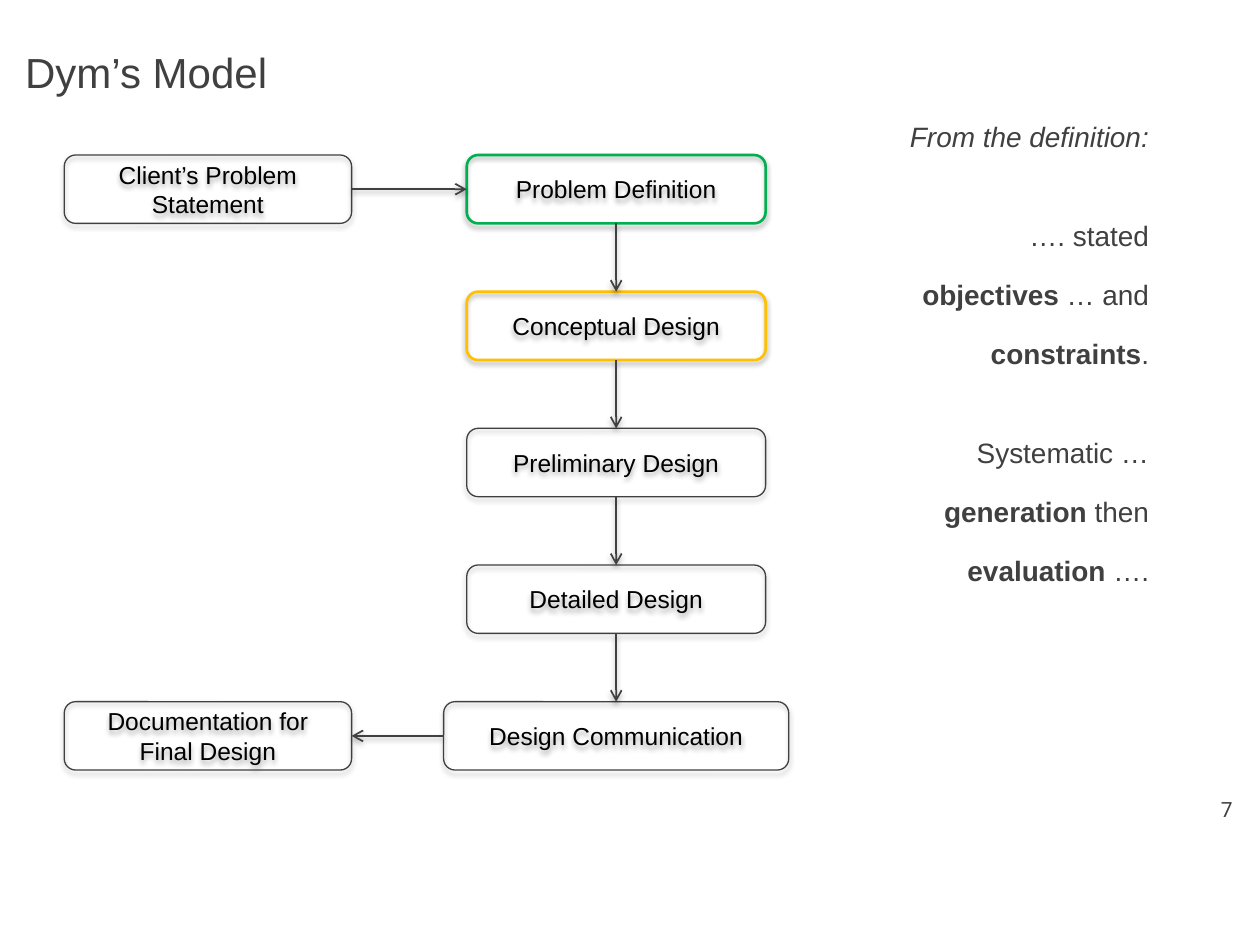
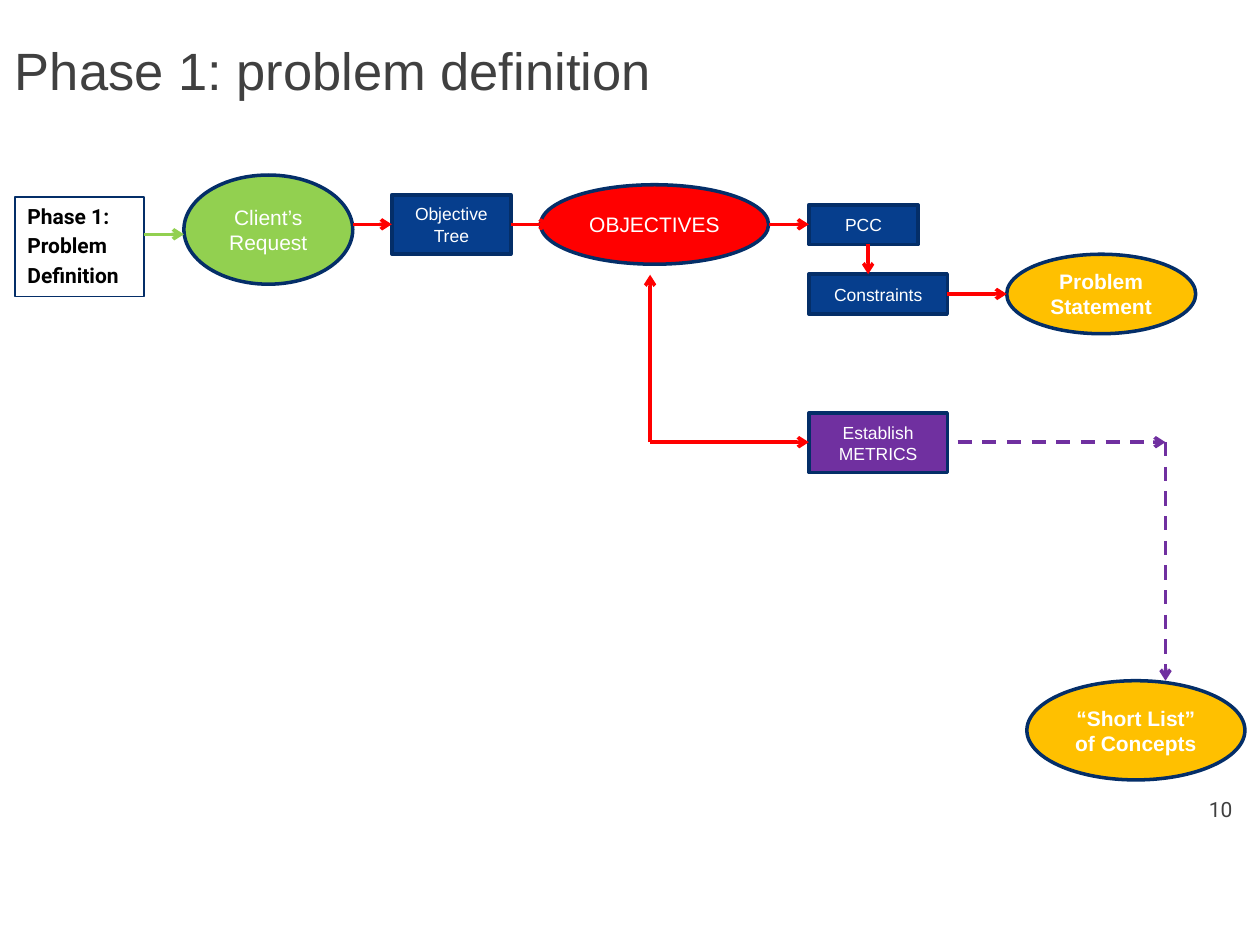
from dataclasses import dataclass
from typing import Any, NamedTuple, Optional

from lxml.etree import SubElement
from pptx import Presentation
from pptx.dml.color import RGBColor
from pptx.enum.dml import MSO_LINE
from pptx.enum.shapes import MSO_CONNECTOR, MSO_SHAPE
from pptx.enum.text import MSO_ANCHOR, PP_ALIGN
from pptx.oxml.ns import qn
from pptx.util import Pt

COLOURS = {
    "text": "404040", "black": "000000", "white": "FFFFFF", "navy": "042E68",
    "blue": "063E8D", "red": "FF0000", "green": "00B050", "lime": "92D050",
    "amber": "FFC000", "purple": "7030A0",
}
TITLE_SPACING = 1.14


class Run(NamedTuple):
    text: str
    bold: bool = False
    italic: bool = False


class Line(NamedTuple):
    runs: list[Run]
    space_before: float = 0


@dataclass
class TextStyle:
    size: float
    colour: str = "text"
    font: str = "Arial"
    align: Any = PP_ALIGN.LEFT
    spacing: Optional[float] = None


@dataclass
class Node:
    lines: list[str]
    left: float
    top: float
    width: float
    height: float
    fill: Optional[str] = None
    outline: str = "navy"
    kind: Any = MSO_SHAPE.RECTANGLE
    weight: float = 2
    size: float = 10
    bold: bool = False
    text_colour: str = "white"
    shadow: bool = False


class Arrow(NamedTuple):
    start: tuple[float, float]
    end: tuple[float, float]
    colour: str = "red"
    weight: float = 2
    dashed: bool = False
    shadow: bool = False


# Shared helpers
def colour(name: str) -> RGBColor:
    return RGBColor.from_string(COLOURS[name])


def apply_format(target: Any, values: dict[str, Any]) -> None:
    for name, value in values.items():
        setattr(target, name, value)


def set_effects(properties: Any, shadow: bool) -> None:
    """Replace the theme effects with a soft drop shadow or with nothing."""
    effects = properties.find(qn("a:effectLst"))
    if effects is None:
        effects = SubElement(properties, qn("a:effectLst"))
    if shadow:
        outer = SubElement(effects, qn("a:outerShdw"), blurRad=str(Pt(3.1)),
                           dist=str(Pt(1.8)), dir="5400000", rotWithShape="0")
        black = SubElement(outer, qn("a:srgbClr"), val=COLOURS["black"])
        SubElement(black, qn("a:alpha"), val="35000")


def write_lines(frame: Any, lines: list[Line], style: TextStyle) -> None:
    for index, line in enumerate(lines):
        paragraph = frame.paragraphs[0] if index == 0 else frame.add_paragraph()
        apply_format(paragraph, {"alignment": style.align,
                                 "line_spacing": style.spacing})
        if index:
            paragraph.space_before = Pt(line.space_before)
        for part in line.runs:
            run = paragraph.add_run()
            run.text = part.text
            apply_format(run.font, {"name": style.font, "size": Pt(style.size),
                                    "bold": part.bold, "italic": part.italic})
            run.font.color.rgb = colour(style.colour)


def add_text(slide: Any, box: tuple[float, float, float, float],
             lines: list[Line], style: TextStyle,
             insets: tuple[float, float] = (7.2, 3.6)) -> None:
    frame = slide.shapes.add_textbox(*map(Pt, box)).text_frame
    side, end = map(Pt, insets)
    apply_format(frame, {"word_wrap": True, "margin_left": side, "margin_right": side,
                         "margin_top": end, "margin_bottom": end})
    write_lines(frame, lines, style)


def add_node(slide: Any, node: Node) -> Any:
    shape = slide.shapes.add_shape(
        node.kind, *map(Pt, (node.left, node.top, node.width, node.height)))
    if node.fill:
        shape.fill.solid()
        shape.fill.fore_color.rgb = colour(node.fill)
    else:
        shape.fill.background()
    shape.line.color.rgb = colour(node.outline)
    shape.line.width = Pt(node.weight)
    shape.shadow.inherit = False
    set_effects(shape._element.spPr, node.shadow)
    apply_format(shape.text_frame, {"word_wrap": True,
                                    "vertical_anchor": MSO_ANCHOR.MIDDLE})
    write_lines(shape.text_frame, [Line([Run(text, node.bold)]) for text in node.lines],
                TextStyle(node.size, node.text_colour, align=PP_ALIGN.CENTER))
    return shape


def add_arrow(slide: Any, arrow: Arrow) -> Any:
    connector = slide.shapes.add_connector(
        MSO_CONNECTOR.STRAIGHT, *map(Pt, arrow.start + arrow.end))
    connector.line.color.rgb = colour(arrow.colour)
    connector.line.width = Pt(arrow.weight)
    if arrow.dashed:
        connector.line.dash_style = MSO_LINE.DASH
    properties = connector._element.spPr
    SubElement(properties.find(qn("a:ln")), qn("a:tailEnd"), type="arrow")
    set_effects(properties, arrow.shadow)
    return connector


def add_slide(presentation: Any, title: str, title_size: float,
              title_at: tuple[float, float], number: int) -> Any:
    """Add a blank slide with its title and page number."""
    slide = presentation.slides.add_slide(presentation.slide_layouts[6])
    add_text(slide, (*title_at, 640, 40), [Line([Run(title)])],
             TextStyle(title_size, spacing=TITLE_SPACING), (0, 7.2))
    add_text(slide, (677.5, 451.4, 33.9, 21.6), [Line([Run(str(number))])],
             TextStyle(12, font="Roboto", align=PP_ALIGN.RIGHT))
    return slide


# Slide: design stages in a column, with input and output at the left
def build_model_slide(presentation: Any) -> None:
    slide = add_slide(presentation, "Dym’s Model", 24, (14.4, 15.1), 7)
    top, pitch, centre = 88.6, 78.1, 352.1

    def add_stage(text: str, row: int, middle: float, width: float,
                  outline: str = "text", weight: float = 0.75) -> Any:
        return add_node(slide, Node(
            [text], middle - width / 2, top + row * pitch, width, pitch / 2,
            outline=outline, weight=weight, size=14, text_colour="black",
            kind=MSO_SHAPE.FLOWCHART_ALTERNATE_PROCESS, shadow=True))

    stages = [
        add_stage("Problem Definition", 0, centre, 170.8, "green", 1.5),
        add_stage("Conceptual Design", 1, centre, 170.8, "amber", 1.5),
        add_stage("Preliminary Design", 2, centre, 170.8),
        add_stage("Detailed Design", 3, centre, 170.8),
        add_stage("Design Communication", 4, centre, 197.2),
    ]
    client = add_stage("Client’s Problem Statement", 0, 118.8, 164.2)
    documentation = add_stage("Documentation for Final Design", 4, 118.8, 164.2)

    # Arrows glued to the sides of the boxes
    top_side, left_side, bottom_side, right_side = range(4)
    links = [(client, right_side, stages[0], left_side)]
    links += [(upper, bottom_side, lower, top_side)
              for upper, lower in zip(stages, stages[1:])]
    links.append((stages[-1], left_side, documentation, right_side))
    for source, source_side, target, target_side in links:
        connector = add_arrow(slide, Arrow((0, 0), (0, 0), "text", 1, shadow=True))
        connector.begin_connect(source, source_side)
        connector.end_connect(target, target_side)

    # Quotation from the definition
    step, group_step = 12, 34.5
    add_text(slide, (446.6, 58.6, 210, 290), [
        Line([Run("From the definition:", italic=True)]),
        Line([Run("…. stated")], group_step),
        Line([Run("objectives", True), Run(" … and")], step),
        Line([Run("constraints", True), Run(".")], step),
        Line([Run("Systematic …")], group_step),
        Line([Run("generation", True), Run(" then")], step),
        Line([Run("evaluation ", True), Run("….")], step),
    ], TextStyle(16, align=PP_ALIGN.RIGHT, spacing=TITLE_SPACING), (0, 7.2))


# Slide: flow of the problem definition phase
def build_phase_slide(presentation: Any) -> None:
    slide = add_slide(presentation, "Phase 1: problem definition", 30, (8.6, 9.4), 10)
    oval = MSO_SHAPE.OVAL
    flow_y, metrics_y = 128.2, 252.7
    tools_left, tools_right = 462.2, 541.4
    feedback_x, concepts_x, constraints_x = 371.5, 666, 496.1

    nodes = [
        Node(["OBJECTIVES"], 308.9, 105.6, 130.3, 45.4, "red", kind=oval, size=12),
        Node(["Client’s Request"], 105.1, 100, 96.5, 62.4, "lime", kind=oval, size=12),
        Node(["Problem Statement"], 575.3, 145.3, 108, 45.4, "amber", kind=oval,
             size=12, bold=True),
        Node(["“Short List” of Concepts"], 586.8, 389, 124.6, 56.7, "amber", kind=oval,
             size=12, bold=True),
        Node(["Objective", "Tree"], 223.9, 111.3, 68, 34, "blue"),
        Node(["PCC"], tools_left, 117, 62.4, 22.7, "blue"),
        Node(["Constraints"], tools_left, 156.7, 79.2, 22.7, "blue"),
        Node(["Establish", "METRICS"], tools_left, 236, 79.2, 34, "purple"),
    ]
    for node in nodes:
        add_node(slide, node)

    # Phase label
    label = add_node(slide, Node([], 8.6, 112.8, 73.6, 56.7, "white", weight=1))
    label.text_frame.vertical_anchor = MSO_ANCHOR.TOP
    write_lines(label.text_frame,
                [Line([Run(text, True)], 2.4)
                 for text in ("Phase 1:", "Problem", "Definition")],
                TextStyle(12, "black", "Roboto"))

    arrows = [
        Arrow((82.1, 133.9), (105.1, 133.9), "lime"),
        Arrow((201.6, flow_y), (223.9, flow_y)),
        Arrow((292, flow_y), (314.6, flow_y)),
        Arrow((439.2, flow_y), (tools_left, flow_y)),
        Arrow((constraints_x, 139.7), (constraints_x, 156.7)),
        Arrow((tools_right, 168), (575.3, 168)),
        Arrow((feedback_x, metrics_y), (tools_left, metrics_y)),
        Arrow((feedback_x, metrics_y), (feedback_x, 157)),
        Arrow((547.2, metrics_y), (concepts_x, metrics_y), "purple", dashed=True),
        Arrow((concepts_x, metrics_y), (concepts_x, 389), "purple", dashed=True),
    ]
    for arrow in arrows:
        add_arrow(slide, arrow)


def main() -> None:
    presentation = Presentation()
    apply_format(presentation, {"slide_width": Pt(720), "slide_height": Pt(540)})
    build_model_slide(presentation)
    build_phase_slide(presentation)
    presentation.save("out.pptx")


if __name__ == "__main__":
    main()
